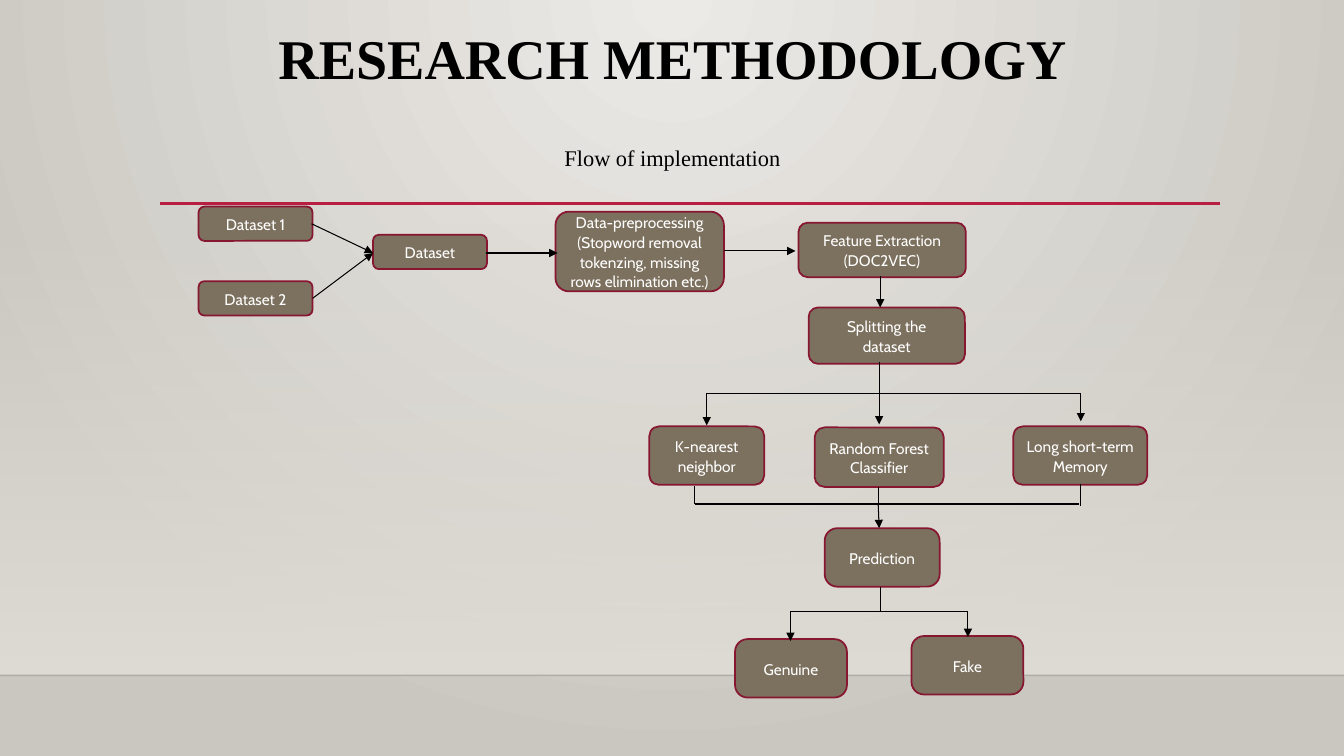
from typing import NamedTuple, Optional

from lxml import etree
from pptx import Presentation
from pptx.dml.color import RGBColor
from pptx.enum import shapes, text
from pptx.oxml import parse_xml
from pptx.oxml.ns import nsdecls, qn
from pptx.util import Inches, Pt

BLACK = RGBColor(0x00, 0x00, 0x00)
WHITE = RGBColor(0xFF, 0xFF, 0xFF)
TAUPE = RGBColor(0x7C, 0x70, 0x5E)
MAROON = RGBColor(0x87, 0x16, 0x31)
CRIMSON = RGBColor(0xB7, 0x1E, 0x42)
FLOOR_EDGE = RGBColor(0x00, 0x00, 0x01)

SLIDE_WIDTH, SLIDE_HEIGHT = 13.33, 7.5
FLOOR_TOP = 6.7
HEADING_FONT, STEP_FONT = "Times New Roman", "Cabin"


class Step(NamedTuple):
    label: str
    left: float
    top: float
    width: float
    height: float
    corner: Optional[float] = None


class Flow(NamedTuple):
    x1: float
    y1: float
    x2: float
    y2: float
    arrow: bool = True


STEPS = [
    Step("Dataset 1", 1.97, 2.05, 1.13, 0.34),
    Step("Dataset 2", 1.97, 2.79, 1.13, 0.34),
    Step("Dataset", 3.7, 2.33, 1.13, 0.34),
    Step("Data-preprocessing (Stopword removal tokenzing, missing rows elimination etc.)",
         5.51, 2.1, 1.67, 0.79),
    Step("Feature Extraction (DOC2VEC)", 7.92, 2.21, 1.66, 0.54),
    Step("Splitting the dataset", 8.02, 3.05, 1.55, 0.56),
    Step("K-nearest neighbor", 6.44, 4.23, 1.14, 0.58),
    Step("Random Forest Classifier", 8.08, 4.24, 1.28, 0.59),
    Step("Long short-term Memory", 10.05, 4.23, 1.33, 0.58),
    Step("Prediction", 8.18, 5.24, 1.14, 0.58, 0.214),
    Step("Genuine", 7.29, 6.34, 1.11, 0.58, 0.214),
    Step("Fake", 9.04, 6.31, 1.11, 0.58, 0.214),
]

MODEL_BAR, MERGE_BAR, RESULT_BAR = 3.9, 5.0, 6.07
FLOWS = [
    Flow(3.09, 2.22, 3.7, 2.51),
    Flow(3.1, 2.96, 3.7, 2.51),
    Flow(4.82, 2.51, 5.53, 2.51),
    Flow(7.18, 2.49, 7.89, 2.49),
    Flow(8.73, 2.74, 8.73, 3.05),
    # Split into the three models
    Flow(8.72, 3.59, 8.72, MODEL_BAR, False),
    Flow(7.01, MODEL_BAR, 10.72, MODEL_BAR, False),
    Flow(7.01, MODEL_BAR, 7.01, 4.22),
    Flow(8.72, MODEL_BAR, 8.72, 4.21),
    Flow(10.72, MODEL_BAR, 10.72, 4.18),
    # Models merge into the prediction
    Flow(6.89, 4.82, 6.89, MERGE_BAR, False),
    Flow(8.71, 4.83, 8.71, MERGE_BAR, False),
    Flow(10.72, 4.8, 10.72, 5.02, False),
    Flow(6.89, MERGE_BAR, 10.7, MERGE_BAR, False),
    Flow(8.71, MERGE_BAR, 8.72, 5.24),
    # Prediction splits into the two results
    Flow(8.73, 5.82, 8.73, RESULT_BAR, False),
    Flow(7.84, RESULT_BAR, 9.6, RESULT_BAR, False),
    Flow(7.84, RESULT_BAR, 7.84, 6.36),
    Flow(9.6, RESULT_BAR, 9.6, 6.32),
]


def set_gradient(owner, stops: str, direction: str) -> None:
    """Replace the gradient found inside owner with the given stops and direction."""
    gradient = owner.xpath(".//a:gradFill")[0]
    gradient.getparent().replace(gradient, parse_xml(
        f'<a:gradFill rotWithShape="1" {nsdecls("a")}>'
        f"<a:gsLst>{stops}</a:gsLst>{direction}</a:gradFill>"))


def paint_backdrop(slide) -> None:
    slide.background.fill.gradient()
    set_gradient(
        slide.element,
        '<a:gs pos="0"><a:srgbClr val="ECEAE7"/></a:gs>'
        '<a:gs pos="100000"><a:srgbClr val="CAC7C1"/></a:gs>',
        '<a:path path="circle"><a:fillToRect l="43000" t="0" r="43000" b="100000"/></a:path>')

    wall = slide.shapes.add_shape(
        shapes.MSO_SHAPE.RECTANGLE, 0, Inches(2.21), Inches(SLIDE_WIDTH), Inches(FLOOR_TOP - 2.21))
    wall.shadow.inherit = False
    wall.line.fill.background()
    wall.fill.gradient()
    set_gradient(
        wall.element,
        '<a:gs pos="0"><a:srgbClr val="DFDBD5"><a:alpha val="0"/></a:srgbClr></a:gs>'
        '<a:gs pos="100000"><a:srgbClr val="DFDBD5"/></a:gs>',
        '<a:lin ang="5400000" scaled="0"/>')

    floor_edge = add_line(slide, Flow(0, FLOOR_TOP, SLIDE_WIDTH, FLOOR_TOP, False), FLOOR_EDGE, 1)
    edge_color = floor_edge.element.xpath(".//a:ln//a:srgbClr")[0]
    etree.SubElement(edge_color, qn("a:alpha")).set("val", "20000")


def add_line(slide, flow: Flow, color: RGBColor = BLACK, weight: float = 0.75):
    line = slide.shapes.add_connector(
        shapes.MSO_CONNECTOR.STRAIGHT, *map(Inches, (flow.x1, flow.y1, flow.x2, flow.y2)))
    line.line.color.rgb = color
    line.line.width = Pt(weight)
    if flow.arrow:
        outline = line.element.xpath(".//a:ln")[0]
        etree.SubElement(outline, qn("a:tailEnd")).set("type", "triangle")
    etree.SubElement(line.element.spPr, qn("a:effectLst"))
    return line


def style_font(paragraph, name: str, size: float, color: RGBColor, bold: bool = False) -> None:
    font = paragraph.font
    font.name, font.size, font.bold = name, Pt(size), bold
    font.color.rgb = color


def add_heading(slide, label: str, left: float, top: float, width: float, height: float,
                size: float, bold: bool = False):
    box = slide.shapes.add_textbox(*map(Inches, (left, top, width, height)))
    box.text_frame.word_wrap = True
    paragraph = box.text_frame.paragraphs[0]
    paragraph.text = label
    style_font(paragraph, HEADING_FONT, size, BLACK, bold)
    return paragraph


def add_step(slide, step: Step) -> None:
    box = slide.shapes.add_shape(
        shapes.MSO_SHAPE.ROUNDED_RECTANGLE,
        *map(Inches, (step.left, step.top, step.width, step.height)))
    if step.corner is not None:
        box.adjustments[0] = step.corner
    box.shadow.inherit = False
    box.fill.solid()
    box.fill.fore_color.rgb = TAUPE
    box.line.color.rgb = MAROON
    box.line.width = Pt(1.25)
    frame = box.text_frame
    frame.word_wrap = True
    frame.vertical_anchor = text.MSO_ANCHOR.MIDDLE
    paragraph = frame.paragraphs[0]
    paragraph.text = step.label
    paragraph.alignment = text.PP_ALIGN.CENTER
    paragraph.line_spacing = 1.07
    paragraph.space_after = Pt(8)
    style_font(paragraph, STEP_FONT, 11, WHITE)


def main() -> None:
    deck = Presentation()
    deck.slide_width, deck.slide_height = Inches(SLIDE_WIDTH), Inches(SLIDE_HEIGHT)
    slide = deck.slides.add_slide(deck.slide_layouts[6])

    paint_backdrop(slide)
    add_line(slide, Flow(1.59, 2.02, 12.1, 2.02, False), CRIMSON, 2.5)
    title = add_heading(slide, "RESEARCH METHODOLOGY", 0.92, 0.26, 11.5, 1, 40, bold=True)
    title.alignment = text.PP_ALIGN.CENTER
    title.line_spacing = 0.9
    add_heading(slide, "Flow of implementation", 5.5, 1.38, 2.52, 0.37, 16)

    for step in STEPS:
        add_step(slide, step)
    for flow in FLOWS:
        add_line(slide, flow)

    deck.save("out.pptx")


if __name__ == "__main__":
    main()
